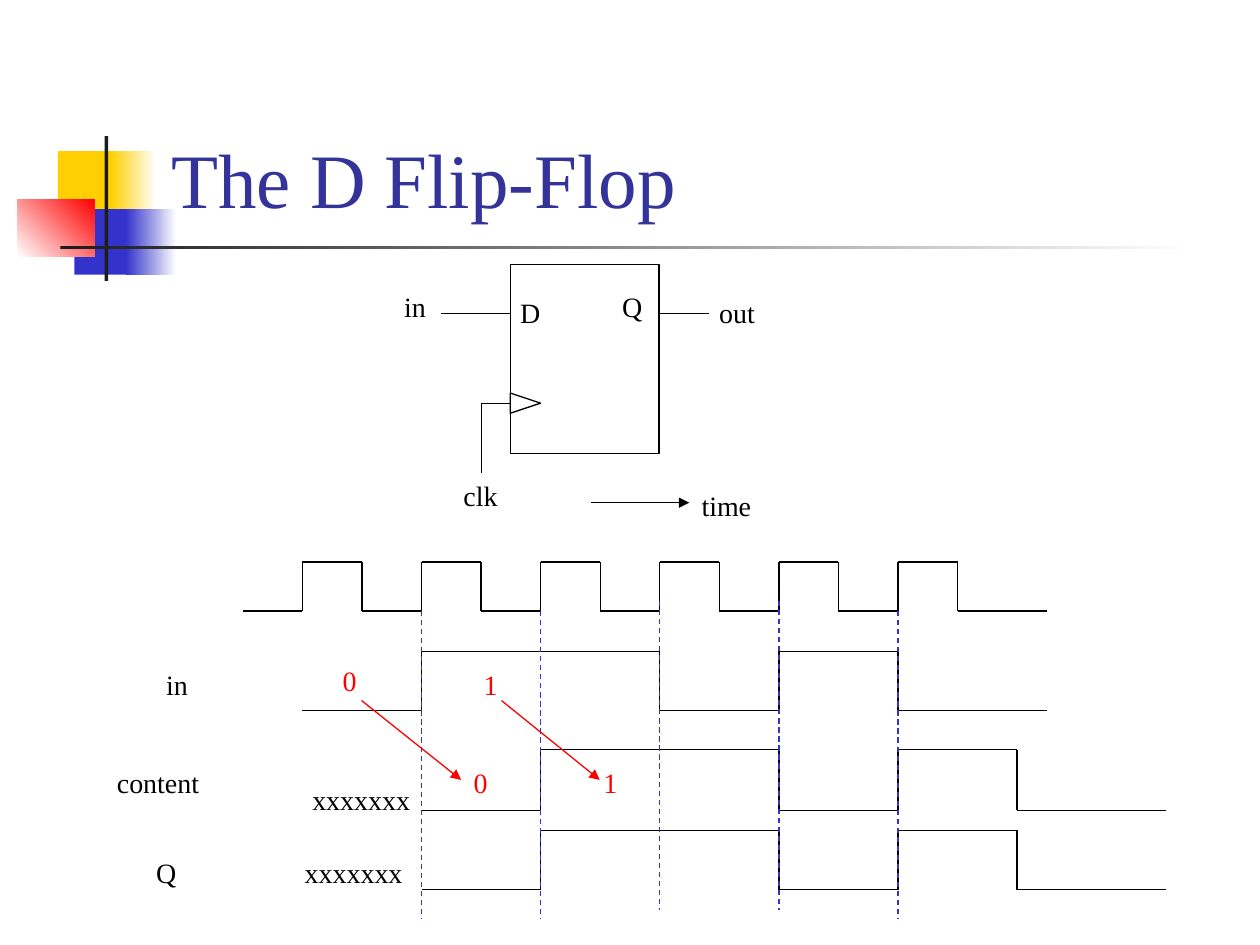
from dataclasses import dataclass
from itertools import pairwise
from lxml.etree import SubElement
from pptx import Presentation
from pptx.dml.color import RGBColor
from pptx.enum.dml import MSO_LINE
from pptx.enum.shapes import MSO_CONNECTOR, MSO_SHAPE
from pptx.enum.text import MSO_ANCHOR
from pptx.oxml.ns import qn
from pptx.util import Inches, Pt


@dataclass(frozen=True)
class Theme:
    font: str = "Times New Roman"
    head: int = 44
    body: int = 16
    rule: float = 0.75
    ink: str = "000000"
    title: str = "333399"
    mark: str = "FF0000"
    guide: str = "3333CC"
    gold: str = "FFCF01"
    dark: str = "1C1C1C"
    white: str = "FFFFFF"


T = Theme()
START, TICK = 2.4, 5.2 / 11

DECOR = [
    ((0.46, 1.2, 0.48, 0.52), (T.gold,), 0),
    ((0.88, 1.2, 0.36, 0.52), (T.gold, T.white), 0),
    ((0.59, 1.66, 0.46, 0.52), (T.guide,), 0),
    ((1, 1.66, 0.4, 0.52), (T.guide, T.white), 0),
    ((0.14, 1.58, 0.61, 0.46), (T.white, T.mark), 45),
    ((0.83, 1.08, 0.03, 1.15), (T.dark,), 0),
    ((0.48, 1.95, 9, 0.03), (T.dark, T.white), 0),
]
TITLE = ("The D Flip-Flop", (1.26, 0.23, 8.52, 1.6))
PARTS = [
    (MSO_SHAPE.RECTANGLE, (4.05, 2.1, 1.18, 1.5), 0),
    (MSO_SHAPE.ISOSCELES_TRIANGLE, (4.09, 3.08, 0.16, 0.24), 90),
]
WIRES = [
    [(5.23, 2.49), (5.63, 2.49)],
    [(4.05, 2.49), (3.5, 2.49)],
    [(4.05, 3.2), (3.82, 3.2), (3.82, 3.75)],
]
LABELS = [
    ("D", 4.03, 2.3, 0.36, T.ink),
    ("Q", 4.84, 2.25, 0.36, T.ink),
    ("in", 3.11, 2.25, 0.37, T.ink),
    ("out", 5.61, 2.3, 0.49, T.ink),
    ("clk", 3.58, 3.75, 0.47, T.ink),
    ("time", 5.47, 3.83, 0.6, T.ink),
    ("in", 1.22, 5.25, 0.38, T.ink),
    ("content", 0.83, 6.03, 0.86, T.ink),
    ("Q", 1.14, 6.74, 0.36, T.ink),
    ("xxxxxxx", 2.38, 6.16, 0.98, T.ink),
    ("xxxxxxx", 2.32, 6.74, 0.98, T.ink),
    ("0", 2.62, 5.22, 0.31, T.mark),
    ("0", 3.66, 6.03, 0.31, T.mark),
    ("1", 3.74, 5.25, 0.31, T.mark),
    ("1", 4.69, 6.03, 0.31, T.mark),
]
STORED = (2, 4, 8, 10, 12, 14.5)
WAVES = [
    (4.85, 4.46, (-1, *range(12), 12.5)),
    (5.64, 5.17, (0, 2, 6, 8, 10, 12.5)),
    (6.43, 5.95, STORED),
    (7.06, 6.59, STORED),
]
GUIDES = [(2, 4.85, 7.29), (4, 4.85, 7.29), (6, 4.77, 7.22),
          (8, 4.77, 7.22), (10, 4.85, 7.29)]
ARROWS = [
    ((4.69, 3.99), (5.47, 3.99), T.ink),
    ((2.87, 5.56), (3.66, 6.19), T.mark),
    ((3.98, 5.56), (4.76, 6.19), T.mark),
]


def rgb(tone):
    """Turn a hex tone into a colour."""
    return RGBColor.from_string(tone)


def shape(slide, kind, box):
    """Add a preset shape with no shadow."""
    item = slide.shapes.add_shape(kind, *map(Inches, box))
    item.shadow.inherit = False
    return item


def decor(slide, box, tones, angle):
    """Add a borderless block with a plain or graded fill."""
    item = shape(slide, MSO_SHAPE.RECTANGLE, box)
    item.line.fill.background()
    if len(tones) == 1:
        item.fill.solid()
        item.fill.fore_color.rgb = rgb(tones[0])
        return
    item.fill.gradient()
    item.fill.gradient_angle = angle
    for stop, tone in zip(item.fill.gradient_stops, tones):
        stop.color.rgb = rgb(tone)


def part(slide, kind, box, turn):
    """Add an outlined part of the flip-flop."""
    item = shape(slide, kind, box)
    item.rotation = turn
    item.fill.background()
    item.line.color.rgb = rgb(T.ink)
    item.line.width = Pt(T.rule)


def text(slide, words, box, size, tone, wrap=False, anchor=MSO_ANCHOR.TOP):
    """Add one line of text."""
    frame = slide.shapes.add_textbox(*map(Inches, box)).text_frame
    frame.word_wrap = wrap
    frame.vertical_anchor = anchor
    line = frame.paragraphs[0]
    line.text = words
    line.font.name = T.font
    line.font.size = Pt(size)
    line.font.color.rgb = rgb(tone)


def line(slide, start, end, tone=T.ink, dash=None, arrow=False):
    """Add a straight line, dashed or with an arrowhead if asked."""
    item = slide.shapes.add_connector(
        MSO_CONNECTOR.STRAIGHT, *map(Inches, (*start, *end)))
    item.line.color.rgb = rgb(tone)
    item.line.width = Pt(T.rule)
    if dash:
        item.line.dash_style = dash
    if arrow:
        SubElement(item.line._get_or_add_ln(), qn("a:tailEnd"), type="triangle")
    SubElement(item._element.spPr, qn("a:effectLst"))


def trace(slide, points):
    """Join points with lines."""
    for start, end in pairwise(points):
        line(slide, start, end)


def spot(tick):
    """Give the x position of a clock tick."""
    return START + tick * TICK


def wave(low, high, ticks):
    """List the corners of a signal that starts low and flips at each tick."""
    points = [(spot(ticks[0]), low)]
    for turn, tick in enumerate(ticks[1:-1]):
        ends = (high, low) if turn % 2 else (low, high)
        points += [(spot(tick), y) for y in ends]
    return points + [(spot(ticks[-1]), points[-1][1])]


def main():
    """Build the flip-flop slide."""
    deck = Presentation()
    deck.slide_width, deck.slide_height = Inches(10), Inches(7.5)
    slide = deck.slides.add_slide(deck.slide_layouts[6])
    for item in DECOR:
        decor(slide, *item)
    text(slide, *TITLE, T.head, T.title, True, MSO_ANCHOR.BOTTOM)
    for item in PARTS:
        part(slide, *item)
    for points in WIRES:
        trace(slide, points)
    for item in WAVES:
        trace(slide, wave(*item))
    for tick, top, base in GUIDES:
        line(slide, (spot(tick), top), (spot(tick), base), T.guide, MSO_LINE.DASH)
    for words, left, top, width, tone in LABELS:
        text(slide, words, (left, top, width, 0.37), T.body, tone)
    for start, end, tone in ARROWS:
        line(slide, start, end, tone, arrow=True)
    deck.save("out.pptx")


if __name__ == "__main__":
    main()
